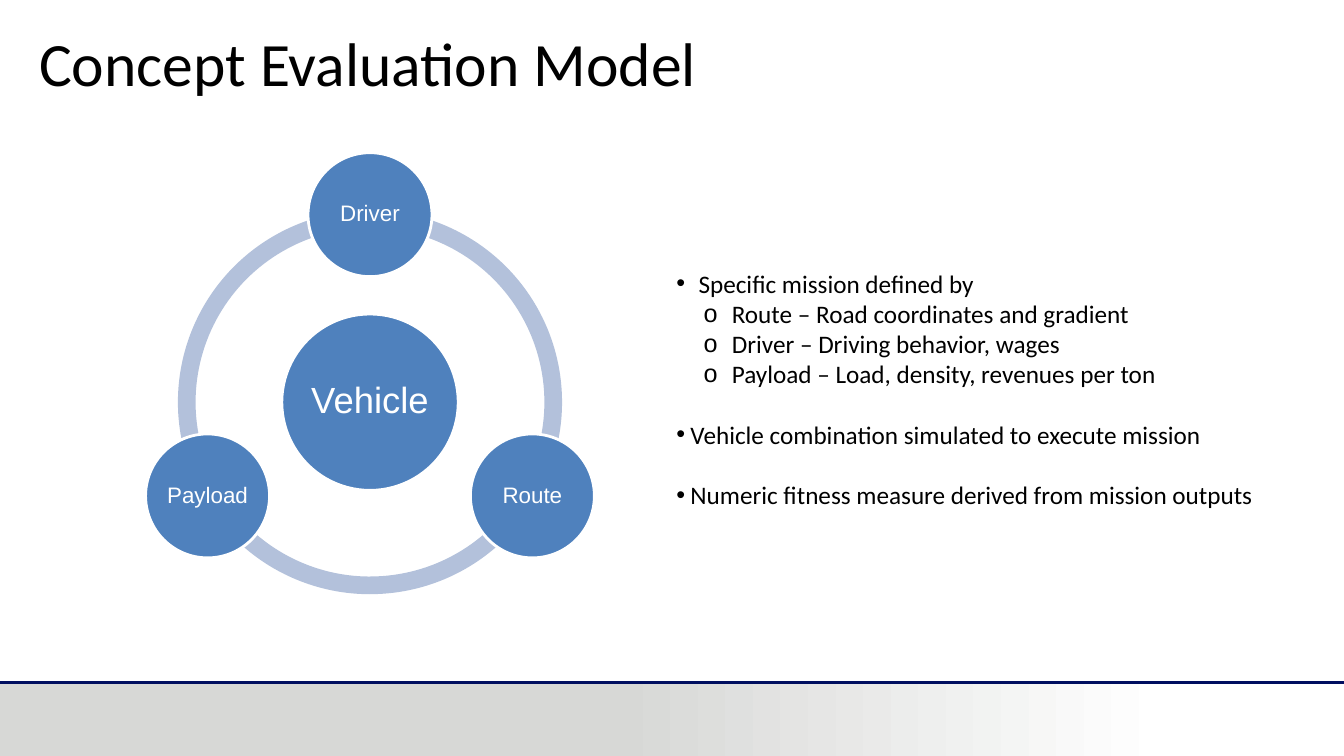
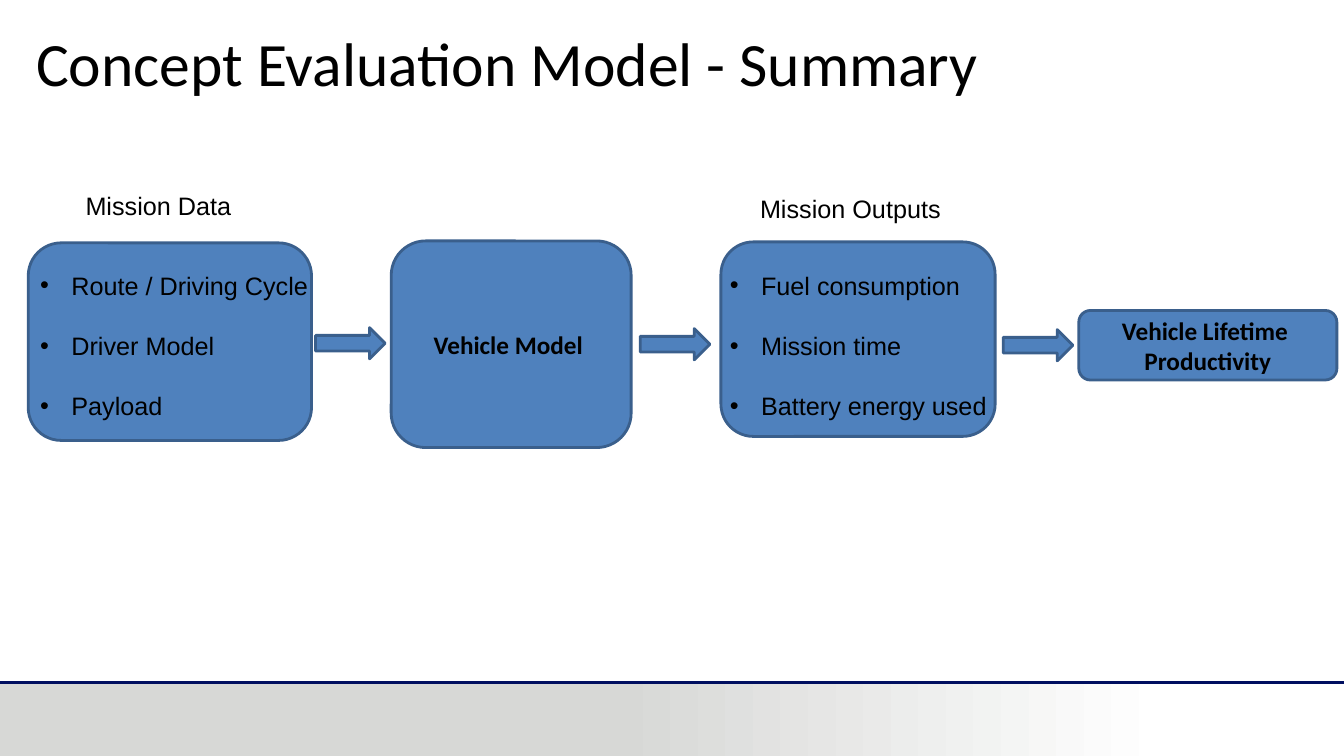
from math import cos, radians, sin

from lxml import etree
from pptx import Presentation
from pptx.dml.color import RGBColor
from pptx.enum.shapes import MSO_CONNECTOR, MSO_SHAPE
from pptx.enum.text import MSO_ANCHOR, PP_ALIGN
from pptx.oxml.ns import qn
from pptx.util import Inches, Pt

RECT, OVAL = MSO_SHAPE.RECTANGLE, MSO_SHAPE.OVAL
ROUND, ARROW, ARC = MSO_SHAPE.ROUNDED_RECTANGLE, MSO_SHAPE.RIGHT_ARROW, MSO_SHAPE.BLOCK_ARC
STRAIGHT = MSO_CONNECTOR.STRAIGHT
LEFT, CENTER = PP_ALIGN.LEFT, PP_ALIGN.CENTER
TOP, MIDDLE = MSO_ANCHOR.TOP, MSO_ANCHOR.MIDDLE

BLACK, WHITE = "000000", "FFFFFF"
BLUE, EDGE, RING = "4F81BD", "3A5F8C", "B3C1DB"
GREY, NAVY = "D7D8D6", "000F60"
SANS, BODY = "Arial", "Calibri"
WIDE, HIGH = 13.33, 7.5
GAP = 21.5  # points between spaced bullets


def rgb(code):
    return RGBColor.from_string(code)


# Text
def write(shape, text, size=18, font=SANS, color=BLACK, bold=False,
          align=LEFT, lead=None, gap=0, mark=None, indent=0, hang=0):
    """Add one paragraph to a shape, with an optional bullet mark."""
    frame = shape.text_frame
    para = frame.add_paragraph() if frame.text else frame.paragraphs[0]
    para.alignment = align
    para.space_before = Pt(gap)
    if lead:
        para.line_spacing = lead
    run = para.add_run()
    run.text = text
    run.font.size, run.font.name, run.font.bold = Pt(size), font, bold
    run.font.color.rgb = rgb(color)
    if mark:
        props = para._p.get_or_add_pPr()
        props.set("marL", str(Inches(indent)))
        props.set("indent", str(Inches(-hang)))
        etree.SubElement(props, qn("a:buFont"), typeface=SANS)
        etree.SubElement(props, qn("a:buChar"), char=mark)


def setup(shape, anchor):
    frame = shape.text_frame
    frame.word_wrap = True
    frame.vertical_anchor = anchor


def label(slide, x, y, w, h):
    box = slide.shapes.add_textbox(*map(Inches, (x, y, w, h)))
    setup(box, TOP)
    return box


# Shapes
def draw(slide, kind, x, y, w, h, fill=BLUE, line=EDGE):
    shape = slide.shapes.add_shape(kind, *map(Inches, (x, y, w, h)))
    shape.shadow.inherit = False
    shape.fill.solid()
    shape.fill.fore_color.rgb = rgb(fill)
    if line:
        shape.line.color.rgb = rgb(line)
        shape.line.width = Pt(2)
    else:
        shape.line.fill.background()
    setup(shape, MIDDLE)
    return shape


def disc(slide, x, y, size, text, points):
    """Circle centred on x, y, with its label on one line."""
    shape = draw(slide, OVAL, x - size / 2, y - size / 2, size, size, line=WHITE)
    shape.text_frame.word_wrap = False
    write(shape, text, size=points, color=WHITE, align=CENTER, lead=0.9)


# Shared title and footer
def start(deck, title, x):
    slide = deck.slides.add_slide(deck.slide_layouts[6])
    top = 6.77
    draw(slide, RECT, 0, top, 6.13, HIGH - top, fill=GREY, line=None)
    fade = draw(slide, RECT, 6.1, top, 5.47, HIGH - top, line=None).fill
    fade.gradient()
    fade.gradient_angle = 0
    for stop, code in zip(fade.gradient_stops, (GREY, WHITE)):
        stop.color.rgb = rgb(code)
    rule = slide.shapes.add_connector(
        STRAIGHT, 0, Inches(top), Inches(WIDE), Inches(top))
    rule.line.color.rgb = rgb(NAVY)
    rule.line.width = Pt(2)
    etree.SubElement(rule._element.spPr, qn("a:effectLst"))
    write(label(slide, x, 0.28, 11.5, 1.45), title, size=44, font=BODY, lead=0.9)
    return slide


# Slide 1: ring diagram and mission notes
def model(deck):
    slide = start(deck, "Concept Evaluation Model", 0.29)
    x, y, ring, orbit = 3.67, 3.99, 3.81, 1.86
    for begin, end in ((90, 162), (18, 90), (162, 18)):
        arc = draw(slide, ARC, x - ring / 2, y - ring / 2, ring, ring,
                   fill=RING, line=None)
        # Adjustments count 60000 units a degree, scaled by 100000
        for i, value in enumerate((begin * 0.6, end * 0.6, 0.046)):
            arc.adjustments[i] = value
    disc(slide, x, y, 1.75, "Vehicle", 26)
    for i, name in enumerate(("Driver", "Route", "Payload")):
        turn = radians(120 * i - 90)
        disc(slide, x + orbit * cos(turn), y + orbit * sin(turn), 1.23, name, 16)

    main_fmt = dict(font=BODY, mark="•")
    notes = label(slide, 6.61, 2.61, 6.39, 2.52)
    write(notes, "Specific mission defined by", indent=0.22, hang=0.22, **main_fmt)
    for text in ("Route – Road coordinates and gradient",
                 "Driver – Driving behavior, wages",
                 "Payload – Load, density, revenues per ton"):
        write(notes, text, font=BODY, mark="o", indent=0.55, hang=0.28)
    for text in ("Vehicle combination simulated to execute mission",
                 "Numeric fitness measure derived from mission outputs"):
        write(notes, text, indent=0.14, hang=0.14, gap=GAP, **main_fmt)


# Slide 2: flow from mission data to productivity
def panel(slide, box, area, items):
    """Rounded box with a spaced bullet list over it."""
    draw(slide, ROUND, *box)
    notes = label(slide, *area)
    for i, item in enumerate(items):
        write(notes, item, mark="•", indent=0.31, hang=0.31, gap=GAP if i else 0)


def stage(slide, box, lines):
    shape = draw(slide, ROUND, *box)
    for line in lines:
        write(shape, line, font=BODY, bold=True, align=CENTER)


def summary(deck):
    slide = start(deck, "Concept Evaluation Model - Summary", 0.26)
    panel(slide, (0.28, 2.41, 2.81, 1.96), (0.3, 2.63, 2.9, 1.62),
          ("Route / Driving Cycle", "Driver Model", "Payload"))
    stage(slide, (3.88, 2.39, 2.38, 2.05), ("Vehicle Model ",))
    panel(slide, (7.15, 2.4, 2.72, 1.93), (7.14, 2.63, 2.99, 1.62),
          ("Fuel consumption", "Mission time", "Battery energy used"))
    stage(slide, (10.7, 3.08, 2.56, 0.69), ("Vehicle Lifetime ", "Productivity"))
    for x, y in ((3.13, 3.25), (6.35, 3.26), (9.95, 3.27)):
        draw(slide, ARROW, x, y, 0.69, 0.31)
    write(label(slide, 0.75, 1.84, 1.77, 0.4), "Mission Data")
    write(label(slide, 7.44, 1.87, 2.23, 0.4), "Mission Outputs")


def main():
    deck = Presentation()
    deck.slide_width, deck.slide_height = Inches(WIDE), Inches(HIGH)
    model(deck)
    summary(deck)
    deck.save("out.pptx")


if __name__ == "__main__":
    main()
